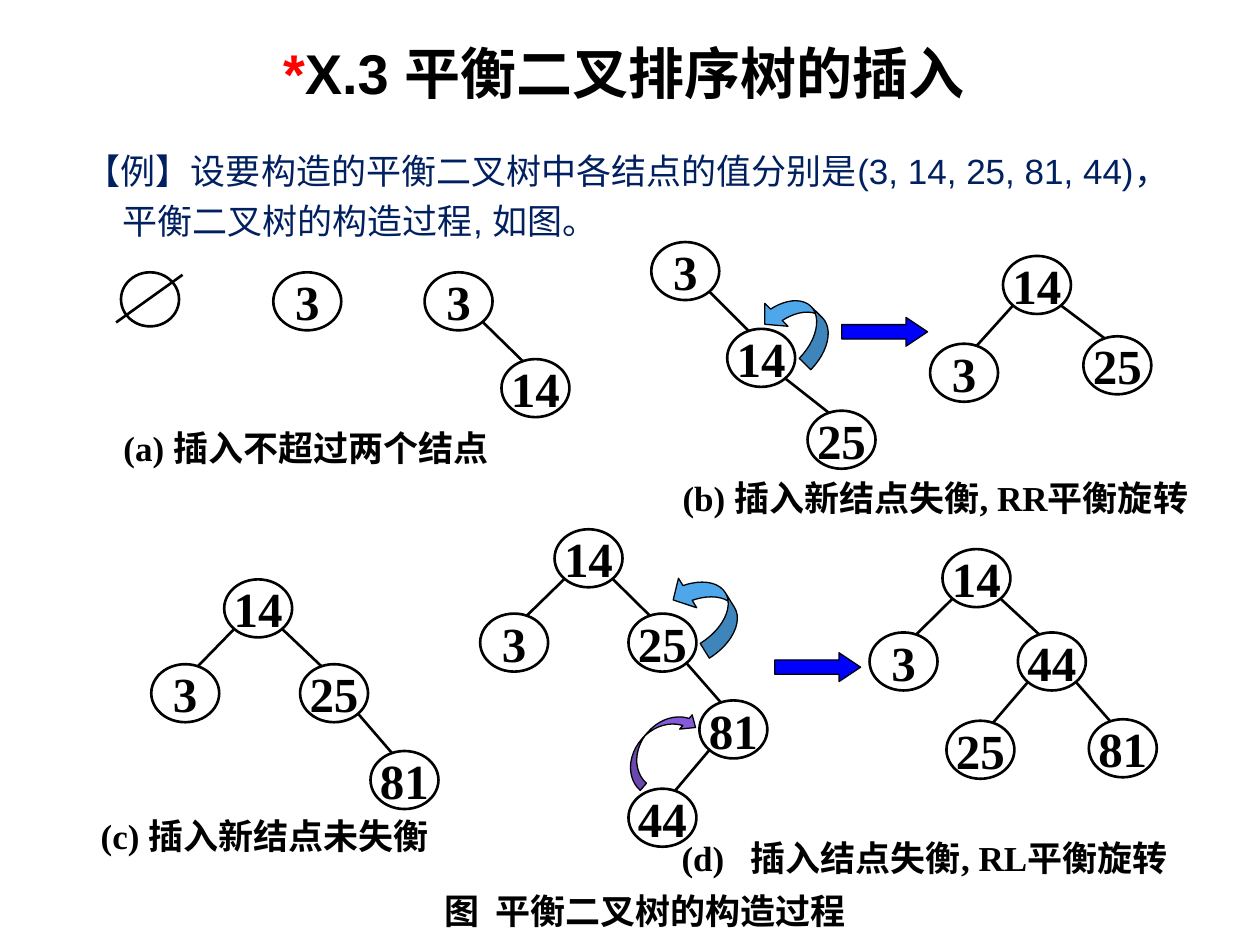
from dataclasses import dataclass
from typing import Optional

import pptx
import pptx.dml.color
import pptx.enum.shapes
import pptx.enum.text
import pptx.oxml
import pptx.oxml.ns
import pptx.util

Cm = pptx.util.Cm
Pt = pptx.util.Pt
RGBColor = pptx.dml.color.RGBColor
Shapes = pptx.enum.shapes.MSO_SHAPE
Align = pptx.enum.text.PP_ALIGN
Anchor = pptx.enum.text.MSO_ANCHOR

BLACK = RGBColor(0x00, 0x00, 0x00)
RED = RGBColor(0xFF, 0x00, 0x00)
NAVY = RGBColor(0x00, 0x20, 0x60)
BLUE = RGBColor(0x00, 0x00, 0xFF)
SKY = RGBColor(0x4E, 0xA7, 0xEA)
PURPLE = RGBColor(0x85, 0x5A, 0xDA)

TITLE_FONT = {"name": "Arial", "size": Pt(32), "bold": True}
BODY_FONT = {"name": "Arial", "size": Pt(20), "bold": False}
CAPTION_FONT = {"name": "Times New Roman", "size": Pt(20), "bold": True}
KEY_FONT = {"name": "Times New Roman", "size": Pt(28), "bold": True}

# Node size, and where an edge leaves a parent and meets a child (cm)
NODE_W, NODE_H = 1.37, 1.17
LEAVE_X, LEAVE_Y = 0.2, 1.0
MEET_X, MEET_Y = 0.44, 0.05


@dataclass
class Node:
    key: int
    x: float
    y: float
    left: Optional["Node"] = None
    right: Optional["Node"] = None


@dataclass
class Arrow:
    kind: Shapes
    x: float
    y: float
    width: float
    height: float
    fill: RGBColor
    adjustments: tuple
    rotation: float = 0


@dataclass
class Caption:
    wording: str
    x: float
    y: float
    width: float
    height: float
    align: Align = Align.LEFT


TREES = [
    # (a) at most two nodes
    Node(3, 5.51, 5.49),
    Node(3, 8.56, 5.49, right=Node(14, 10.11, 7.24)),
    # (b) before and after the RR rotation
    Node(3, 13.13, 4.88,
         right=Node(14, 14.66, 6.63, right=Node(25, 16.28, 8.28))),
    Node(14, 20.22, 5.16, Node(3, 18.75, 6.93), Node(25, 21.84, 6.78)),
    # (c) still balanced
    Node(14, 4.52, 11.68, Node(3, 3.05, 13.39),
         Node(25, 6.05, 13.39, right=Node(81, 7.47, 15.14))),
    # (d) before and after the RL rotation
    Node(14, 11.18, 10.67, Node(3, 9.68, 12.37),
         Node(25, 12.67, 12.37,
              right=Node(81, 14.1, 14.12, left=Node(44, 12.67, 15.9)))),
    Node(14, 19, 11.07, Node(3, 17.53, 12.75),
         Node(44, 20.52, 12.75, Node(25, 19.08, 14.53),
              Node(81, 21.95, 14.5))),
]

ARROWS = [
    Arrow(Shapes.RIGHT_ARROW, 16.97, 6.4, 1.73, 0.58, BLUE, (0.5, 0.75)),
    Arrow(Shapes.RIGHT_ARROW, 15.62, 13.16, 1.73, 0.58, BLUE, (0.5, 0.75)),
    Arrow(Shapes.CURVED_UP_ARROW, 15.27, 6.1, 1.63, 0.91, SKY,
          (0.36, 0.72, 0.33), 224.7),
    Arrow(Shapes.CURVED_UP_ARROW, 13.39, 11.79, 1.73, 0.97, SKY,
          (0.36, 0.72, 0.33), 238.2),
    Arrow(Shapes.CURVED_DOWN_ARROW, 12.34, 14.68, 1.88, 0.66, PURPLE,
          (0.29, 0.58, 0.33), 311.3),
]

# Each width leaves room for the caption on a single line
CAPTIONS = [
    Caption("(a) 插入不超过两个结点", 2.24, 8.53, 8.5, 0.99),
    Caption("(b) 插入新结点失衡, RR平衡旋转", 13.51, 9.58, 11.6, 0.89),
    Caption("(c) 插入新结点未失衡", 1.78, 16.48, 7.8, 0.71),
    Caption("(d)   插入结点失衡, RL平衡旋转", 13.49, 16.84, 11.3, 0.91),
    Caption("图  平衡二叉树的构造过程", 8.56, 17.98, 8.89, 0.74, Align.CENTER),
]


def add_run(paragraph, wording: str, font_format: dict, color: RGBColor):
    run = paragraph.add_run()
    run.text = wording
    for attribute, value in font_format.items():
        setattr(run.font, attribute, value)
    run.font.color.rgb = color


def add_text_frame(slide, x: float, y: float, width: float, height: float,
                   wrap: bool, anchor: Anchor):
    box = slide.shapes.add_textbox(Cm(x), Cm(y), Cm(width), Cm(height))
    frame = box.text_frame
    frame.word_wrap = wrap
    frame.vertical_anchor = anchor
    return frame


def draw_line(slide, x1: float, y1: float, x2: float, y2: float):
    line = slide.shapes.add_connector(
        pptx.enum.shapes.MSO_CONNECTOR.STRAIGHT,
        Cm(x1), Cm(y1), Cm(x2), Cm(y2))
    line.line.color.rgb = BLACK
    line.line.width = Pt(1.5)
    properties = line._element.spPr
    properties.append(pptx.oxml.parse_xml(
        f'<a:effectLst {pptx.oxml.ns.nsdecls("a")}/>'))


def draw_ellipse(slide, x: float, y: float, width: float, height: float):
    ellipse = slide.shapes.add_shape(
        Shapes.OVAL, Cm(x), Cm(y), Cm(width), Cm(height))
    ellipse.shadow.inherit = False
    ellipse.fill.background()
    ellipse.line.color.rgb = BLACK
    ellipse.line.width = Pt(1.5)
    return ellipse


def draw_tree(slide, node: Node):
    """Draw a node, then the edge and subtree of each child."""
    frame = draw_ellipse(slide, node.x, node.y, NODE_W, NODE_H).text_frame
    frame.word_wrap = False
    frame.vertical_anchor = Anchor.MIDDLE
    frame.paragraphs[0].alignment = Align.CENTER
    add_run(frame.paragraphs[0], str(node.key), KEY_FONT, BLACK)
    edges = ((node.left, LEAVE_X, NODE_W - MEET_X),
             (node.right, NODE_W - LEAVE_X, MEET_X))
    for child, leave_x, meet_x in edges:
        if child:
            draw_line(slide, node.x + leave_x, node.y + LEAVE_Y,
                      child.x + meet_x, child.y + MEET_Y)
            draw_tree(slide, child)


def draw_arrow(slide, arrow: Arrow):
    shape = slide.shapes.add_shape(
        arrow.kind, Cm(arrow.x), Cm(arrow.y), Cm(arrow.width), Cm(arrow.height))
    shape.shadow.inherit = False
    shape.rotation = arrow.rotation
    for index, value in enumerate(arrow.adjustments):
        shape.adjustments[index] = value
    shape.fill.solid()
    shape.fill.fore_color.rgb = arrow.fill
    shape.line.color.rgb = BLACK
    shape.line.width = Pt(0.75)


def draw_caption(slide, caption: Caption):
    frame = add_text_frame(slide, caption.x, caption.y, caption.width,
                           caption.height, False, Anchor.MIDDLE)
    frame.paragraphs[0].alignment = caption.align
    add_run(frame.paragraphs[0], caption.wording, CAPTION_FONT, BLACK)


def draw_heading(slide):
    title = add_text_frame(slide, 2.74, 0.78, 19.69, 1.35, True,
                           Anchor.MIDDLE).paragraphs[0]
    title.alignment = Align.CENTER
    add_run(title, "*", TITLE_FONT, RED)
    add_run(title, "X.3 平衡二叉排序树的插入", TITLE_FONT, BLACK)

    example = add_text_frame(slide, 1.48, 2.72, 22.76, 15.06, True,
                             Anchor.TOP).paragraphs[0]
    example.line_spacing = 1.2
    example.space_before = Pt(12)
    indents = example._p.get_or_add_pPr()
    indents.set("marL", str(Cm(0.74)))
    indents.set("indent", str(-Cm(0.74)))
    add_run(example, "【例】设要构造的平衡二叉树中各结点的值分别是"
            "(3, 14, 25, 81, 44)，平衡二叉树的构造过程, 如图。",
            BODY_FONT, NAVY)


def main():
    deck = pptx.Presentation()
    deck.slide_width, deck.slide_height = Cm(25.4), Cm(19.05)
    slide = deck.slides.add_slide(deck.slide_layouts[6])
    draw_heading(slide)
    draw_ellipse(slide, 2.44, 5.49, 1.17, 1.09)
    draw_line(slide, 3.68, 5.54, 2.34, 6.5)
    for tree in TREES:
        draw_tree(slide, tree)
    for arrow in ARROWS:
        draw_arrow(slide, arrow)
    for caption in CAPTIONS:
        draw_caption(slide, caption)
    deck.save("out.pptx")


if __name__ == "__main__":
    main()
